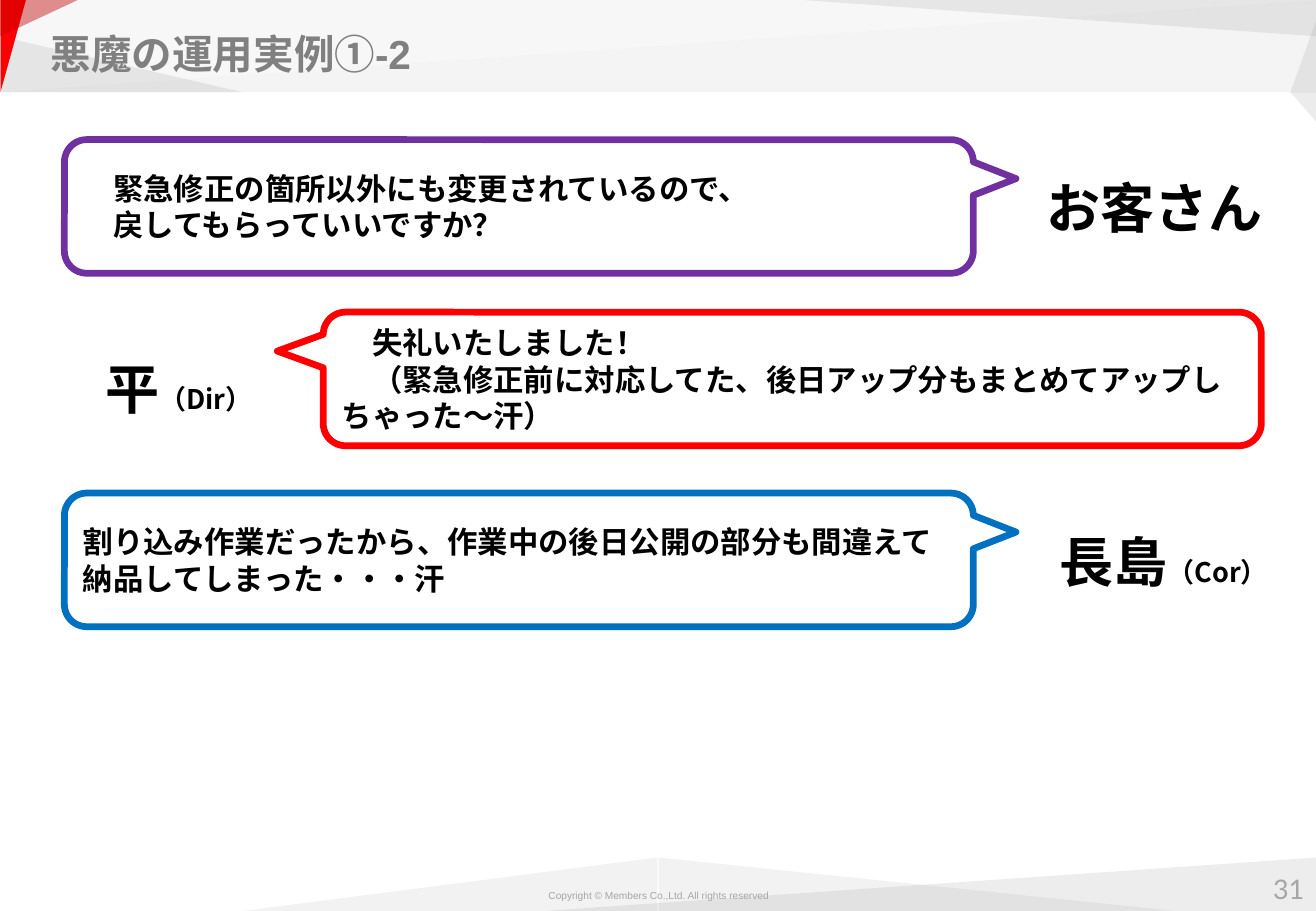
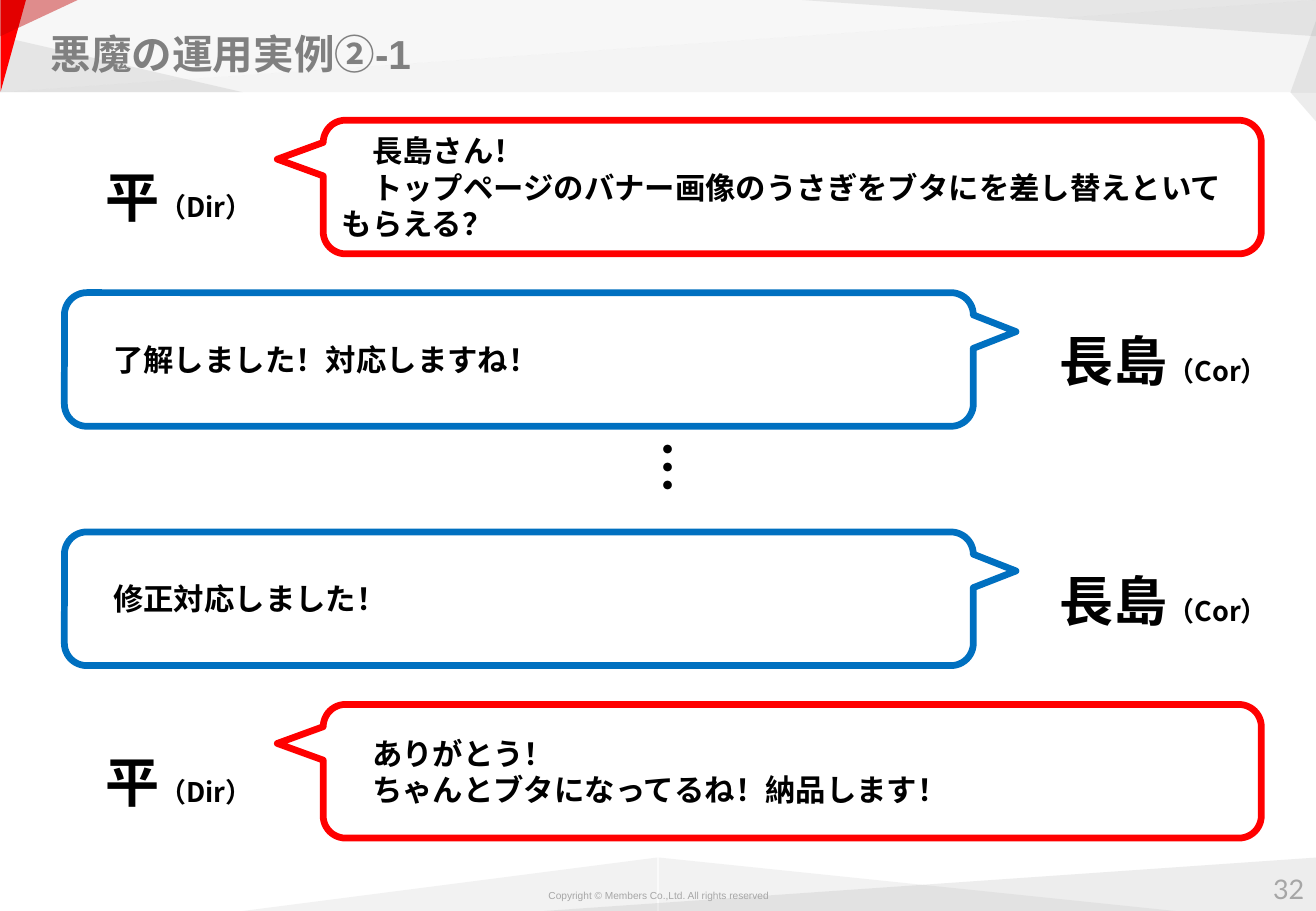
"""Build two slides of chat dialogue between a client, a director and a coder."""
from dataclasses import dataclass

from lxml.etree import SubElement
from pptx import Presentation
from pptx.dml.color import RGBColor
from pptx.enum.shapes import MSO_SHAPE
from pptx.enum.text import MSO_ANCHOR, PP_ALIGN
from pptx.oxml.ns import qn
from pptx.util import Pt

PX = 9144
PAGE_WIDTH, PAGE_HEIGHT = 1083, 750
HEADER_HEIGHT = 76
FOOTER_TOP, FOOTER_HEIGHT = 706, 44
CALLOUT_HEIGHT = 110
INDENT = 25
LATIN, CJK, NUMBER = "Arial", "Noto Sans CJK JP", "Lato"
COLOURS = {
    "white": "FFFFFF", "black": "000000", "silver": "BFBFBF",
    "light": "A6A6A6", "grey": "808080", "red": "FF0000",
    "dark_red": "C00000", "purple": "7030A0", "blue": "0070C0",
}

TRIANGLES = [
    ((448, FOOTER_TOP, 636, FOOTER_HEIGHT), "H", 0, "grey", 14),
    ((542, FOOTER_TOP, 425, FOOTER_HEIGHT), "", 0, "light", 14),
    ((200, FOOTER_TOP, 341, FOOTER_HEIGHT), "H", 0, "light", 14),
    ((0, 0, 823, HEADER_HEIGHT), "V", 0, "white", 36),
    ((0, 0, PAGE_WIDTH, HEADER_HEIGHT), "V", 0, "silver", 12),
    ((0, 0, PAGE_WIDTH, HEADER_HEIGHT), "H", 0, "light", 12),
    ((659, 0, 425, 30), "HV", 0, "grey", 14),
    ((1043, 36, 59, 21), "", 270, "grey", 14),
    ((0, 30, 200, 46), "", 0, "grey", 15),
    ((-27, 27, 76, 21), "", 90, "red", 100),
    ((17, -17, 30, 64), "", 90, "dark_red", 43),
    ((1062, HEADER_HEIGHT, 21, 24), "HV", 0, "grey", 15),
]


@dataclass
class Speaker:
    """A person in the dialogue and the look of their balloon."""
    name: str
    role: str
    name_left: int
    name_drop: int
    colour: str
    balloon_left: int
    balloon_width: int
    tail: float


CLIENT = Speaker("お客さん", "", 851, 24, "purple", 53, 748, 0.547)
DIRECTOR = Speaker("平", "（Dir）", 77, 31, "red", 266, 772, -0.549)
CODER = Speaker("長島", "（Cor）", 862, 24, "blue", 53, 748, 0.547)

SLIDES = [
    ("悪魔の運用実例①-2", 31, [
        (CLIENT, 115, INDENT, ["緊急修正の箇所以外にも変更されているので、",
                               "戻してもらっていいですか？"]),
        (DIRECTOR, 257, INDENT, [
            "失礼いたしました！",
            "（緊急修正前に対応してた、後日アップ分もまとめてアップしちゃった〜汗）"]),
        (CODER, 406, 0, [
            "割り込み作業だったから、作業中の後日公開の部分も間違えて納品してしまった・・・汗"]),
    ]),
    ("悪魔の運用実例②-1", 32, [
        (DIRECTOR, 99, INDENT, [
            "長島さん！",
            "トップページのバナー画像のうさぎをブタにを差し替えといてもらえる？"]),
        (CODER, 241, INDENT, ["了解しました！対応しますね！"]),
        (CODER, 438, INDENT, ["修正対応しました！"]),
        (DIRECTOR, 580, INDENT, ["ありがとう！",
                                 "ちゃんとブタになってるね！納品します！"]),
    ]),
]


def scaled(bounds):
    """Turn px lengths into EMU."""
    return [length * PX for length in bounds]


def rgb(colour):
    """Look up a named colour."""
    return RGBColor.from_string(COLOURS[colour])


def style(para, size, font=LATIN, colour="black", bold=True):
    """Set the font of a whole paragraph, East Asian face included."""
    para.font.size = Pt(size)
    para.font.bold = bold
    para.font.name = font
    para.font.color.rgb = rgb(colour)
    properties = para._p.pPr.find(qn("a:defRPr"))
    SubElement(properties, qn("a:ea")).set("typeface", CJK)


def add_triangle(page, bounds, flips, rotation, colour, opacity):
    """Draw one translucent facet of the header or footer."""
    shape = page.shapes.add_shape(MSO_SHAPE.RIGHT_TRIANGLE, *scaled(bounds))
    shape.shadow.inherit = False
    shape.line.fill.background()
    shape.fill.solid()
    shape.fill.fore_color.rgb = rgb(colour)
    shape.rotation = rotation
    for axis in flips:
        shape._element.spPr.xfrm.set("flip" + axis, "1")
    if opacity < 100:
        tint = shape._element.spPr.find(".//" + qn("a:srgbClr"))
        SubElement(tint, qn("a:alpha")).set("val", str(opacity * 1000))


def add_text(page, bounds, words, size, inset=None, wrap=True, **look):
    """Add a text box of one paragraph and return it."""
    box = page.shapes.add_textbox(*scaled(bounds))
    frame = box.text_frame
    frame.word_wrap = wrap
    if inset is not None:
        frame.margin_left = frame.margin_right = inset * PX
        frame.margin_top = frame.margin_bottom = inset * PX
    para = frame.paragraphs[0]
    para.add_run().text = words
    style(para, size, **look)
    return box


def add_frame(page, title, number):
    """Add the facets, title, copyright line and page number."""
    for triangle in TRIANGLES:
        add_triangle(page, *triangle)
    heading = add_text(page, (30, 12, 1020, 64), title, 24, inset=12, colour="grey")
    heading.text_frame.vertical_anchor = MSO_ANCHOR.MIDDLE
    footers = [
        ((450, 732, 184, 10), "Copyright © Members Co.,Ltd. All rights reserved", 6, LATIN),
        ((1041, 718, 39, 27), str(number), 16, NUMBER),
    ]
    for bounds, words, size, font in footers:
        box = add_text(page, bounds, words, size, inset=0, wrap=False,
                       font=font, colour="light", bold=False)
        box.text_frame.paragraphs[0].alignment = PP_ALIGN.CENTER


def add_name(page, speaker, top):
    """Write the speaker's name with a smaller role beside the balloon."""
    bounds = (speaker.name_left, top + speaker.name_drop, 221, 56)
    box = add_text(page, bounds, speaker.name, 32, font=CJK)
    if speaker.role:
        span = box.text_frame.paragraphs[0].add_run()
        span.text = speaker.role
        span.font.size = Pt(16)


def add_balloon(page, speaker, top, indent, lines):
    """Draw a speech balloon with its lines."""
    bounds = (speaker.balloon_left, top, speaker.balloon_width, CALLOUT_HEIGHT)
    balloon = page.shapes.add_shape(MSO_SHAPE.ROUNDED_RECTANGULAR_CALLOUT, *scaled(bounds))
    balloon.shadow.inherit = False
    for index, value in enumerate((speaker.tail, -0.208, 0.167)):
        balloon.adjustments[index] = value
    balloon.fill.solid()
    balloon.fill.fore_color.rgb = rgb("white")
    balloon.line.color.rgb = rgb(speaker.colour)
    balloon.line.width = Pt(4)
    frame = balloon.text_frame
    frame.word_wrap = True
    frame.vertical_anchor = MSO_ANCHOR.MIDDLE
    frame.text = "\n".join(lines)
    for para in frame.paragraphs:
        para.alignment = PP_ALIGN.LEFT
        para._p.get_or_add_pPr().set("indent", str(indent * PX))
        style(para, 18)


def main():
    """Build the deck and save it."""
    deck = Presentation()
    deck.slide_width, deck.slide_height = scaled((PAGE_WIDTH, PAGE_HEIGHT))
    for title, number, turns in SLIDES:
        page = deck.slides.add_slide(deck.slide_layouts[6])
        add_frame(page, title, number)
        for speaker, top, indent, lines in turns:
            add_name(page, speaker, top)
            add_balloon(page, speaker, top, indent, lines)
    ellipsis = add_text(page, (491, 388, 126, 56), "…", 32, font=CJK)
    ellipsis.rotation = 90
    deck.save("out.pptx")


if __name__ == "__main__":
    main()
